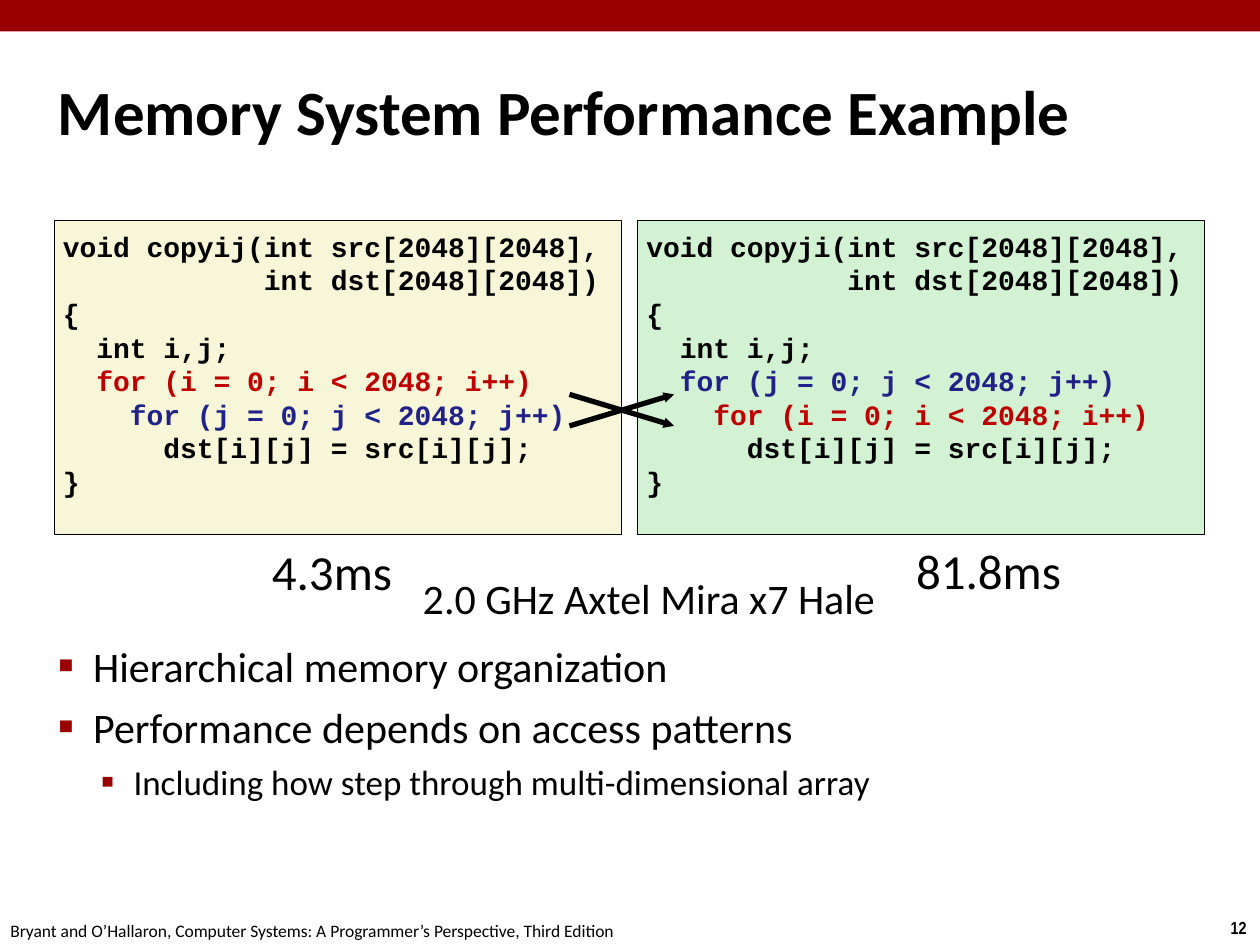
import pptx
import pptx.dml.color
import pptx.enum.shapes
import pptx.enum.text
import pptx.oxml.ns
import pptx.util
from lxml import etree

Inches, Pt = pptx.util.Inches, pptx.util.Pt
ALIGN = pptx.enum.text.PP_ALIGN
ANCHOR = pptx.enum.text.MSO_ANCHOR
BLACK, CRIMSON, RED, BLUE = "000000", "990000", "C00000", "21218A"


def color(code):
    """Turn a hex string into a colour."""
    return pptx.dml.color.RGBColor.from_string(code)


def child(node, tag, **attrs):
    """Append a drawing element with the given attributes."""
    return etree.SubElement(node, pptx.oxml.ns.qn("a:" + tag), attrs)


def style(para, size, font="Calibri", bold=False):
    """Set the font of a paragraph."""
    para.font.size = Pt(size)
    para.font.name = font
    para.font.bold = bold
    para.font.color.rgb = color(BLACK)


def inset(frame, gap):
    """Set all four margins of a text frame."""
    frame.margin_left = frame.margin_right = Inches(gap)
    frame.margin_top = frame.margin_bottom = Inches(gap)


def panel(slide, box, fill, edge=None):
    """Draw a filled rectangle with an optional thin outline."""
    shape = slide.shapes.add_shape(
        pptx.enum.shapes.MSO_SHAPE.RECTANGLE, *map(Inches, box))
    shape.shadow.inherit = False
    shape.fill.solid()
    shape.fill.fore_color.rgb = color(fill)
    if edge:
        shape.line.color.rgb = color(edge)
        shape.line.width = Pt(0.5)
    else:
        shape.line.fill.background()
    return shape


def label(slide, box, text, size, font="Calibri", bold=False,
          align=ALIGN.CENTER, wrap=False, gap=0.04):
    """Place one line of text in a box and return its frame."""
    frame = slide.shapes.add_textbox(*map(Inches, box)).text_frame
    frame.word_wrap = wrap
    inset(frame, gap)
    para = frame.paragraphs[0]
    para.text = text
    para.alignment = align
    style(para, size, font, bold)
    return frame


def code(slide, box, fill, name, loops):
    """Draw a code panel whose two loops run in the given order."""
    frame = panel(slide, box, fill, BLACK).text_frame
    frame.word_wrap = True
    frame.vertical_anchor = ANCHOR.TOP
    inset(frame, 0.07)
    heads = [(pad, f"for ({v} = 0; {v} < 2048; {v}++)", tint)
             for pad, (v, tint) in zip(("  ", "    "), loops)]
    lines = [("", f"void {name}(int src[2048][2048],", BLACK),
             (" " * 12, "int dst[2048][2048])", BLACK),
             ("", "{", BLACK),
             ("  ", "int i,j;", BLACK),
             *heads,
             (" " * 6, "dst[i][j] = src[i][j];", BLACK),
             ("", "}", BLACK)]
    for n, (pad, text, tint) in enumerate(lines):
        para = frame.add_paragraph() if n else frame.paragraphs[0]
        para.alignment = ALIGN.LEFT
        style(para, 16, "Courier New", True)
        run = para.add_run()
        run.text = pad + text
        if tint != BLACK:
            run.font.color.rgb = color(tint)


def cross(slide, box):
    """Draw two arrows that cross inside a box."""
    x, y, w, h = box
    for top, end in ((y, y + h), (y + h, y)):
        line = slide.shapes.add_connector(
            pptx.enum.shapes.MSO_CONNECTOR.STRAIGHT,
            *map(Inches, (x, top, x + w, end)))
        line.line.color.rgb = color(BLACK)
        line.line.width = Pt(3)
        child(line.line._get_or_add_ln(), "tailEnd",
              type="triangle", w="sm", len="sm")
        child(line._element.spPr, "effectLst")


def points(slide, box, items):
    """Write a two-level bulleted list."""
    frame = slide.shapes.add_textbox(*map(Inches, box)).text_frame
    frame.word_wrap = True
    inset(frame, 0.04)
    looks = [(24, 6, 0.28, 0.28), (20, 5, 0.6, 0.26)]
    for n, (level, text) in enumerate(items):
        size, space, left, hang = looks[level]
        para = frame.add_paragraph() if n else frame.paragraphs[0]
        para.text = text
        para.level = level
        para.space_before = Pt(space)
        style(para, size)
        props = para._p.get_or_add_pPr()
        props.set("marL", str(Inches(left)))
        props.set("indent", str(-Inches(hang)))
        tail = props.find(pptx.oxml.ns.qn("a:defRPr"))
        tint = child(props, "buClr")
        child(tint, "srgbClr", val=CRIMSON)
        child(props, "buSzPct", val="110000")
        child(props, "buFont", typeface="Calibri")
        child(props, "buChar", char="▪")
        props.append(tail)


def frame_page(slide, wide, high):
    """Place the top band, footer and page number."""
    panel(slide, (0, 0, wide, 0.25), CRIMSON)
    label(slide, (0, high - 0.25, 4.95, 0.27),
          "Bryant and O’Hallaron, Computer Systems: "
          "A Programmer’s Perspective, Third Edition", 10, gap=0.05)
    label(slide, (wide - 0.34, high - 0.27, 0.34, 0.27), "12", 10,
          "Arial Narrow", True, gap=0.05)


def compare(slide, box):
    """Place the two code panels, the arrows and the timings."""
    x, y, w, h = box
    wide = 4.5
    right = x + w - wide
    outer, inner = ("i", RED), ("j", BLUE)
    code(slide, (right, y, wide, h), "D3F2D3", "copyji", (inner, outer))
    code(slide, (x, y, wide, h), "F8F6D9", "copyij", (outer, inner))
    cross(slide, (x + 4.09, y + 1.38, 0.83, 0.25))
    base = y + h
    label(slide, (right + 2.16, base + 0.01, 1.25, 0.56), "81.8ms", 28)
    label(slide, (x + 1.62, base + 0.01, 1.17, 0.57), "4.3ms", 28, gap=0.05)
    label(slide, (x + 2.71, base + 0.26, 4.02, 0.49),
          "2.0 GHz Axtel Mira x7 Hale", 24)


def build():
    """Build and save the slide."""
    deck = pptx.Presentation()
    deck.slide_width, deck.slide_height = Inches(10), Inches(7.5)
    slide = deck.slides.add_slide(deck.slide_layouts[6])
    frame_page(slide, 10, 7.5)
    title = label(slide, (0.42, 0.28, 9.17, 1.19),
                  "Memory System Performance Example", 36, bold=True,
                  align=ALIGN.LEFT, wrap=True)
    title.vertical_anchor = ANCHOR.MIDDLE
    points(slide, (0.42, 5.04, 9.17, 2.43), [
        (0, "Hierarchical memory organization"),
        (0, "Performance depends on access patterns"),
        (1, "Including how step through multi-dimensional array")])
    compare(slide, (0.43, 1.75, 9.13, 2.49))
    deck.save("out.pptx")


build()
